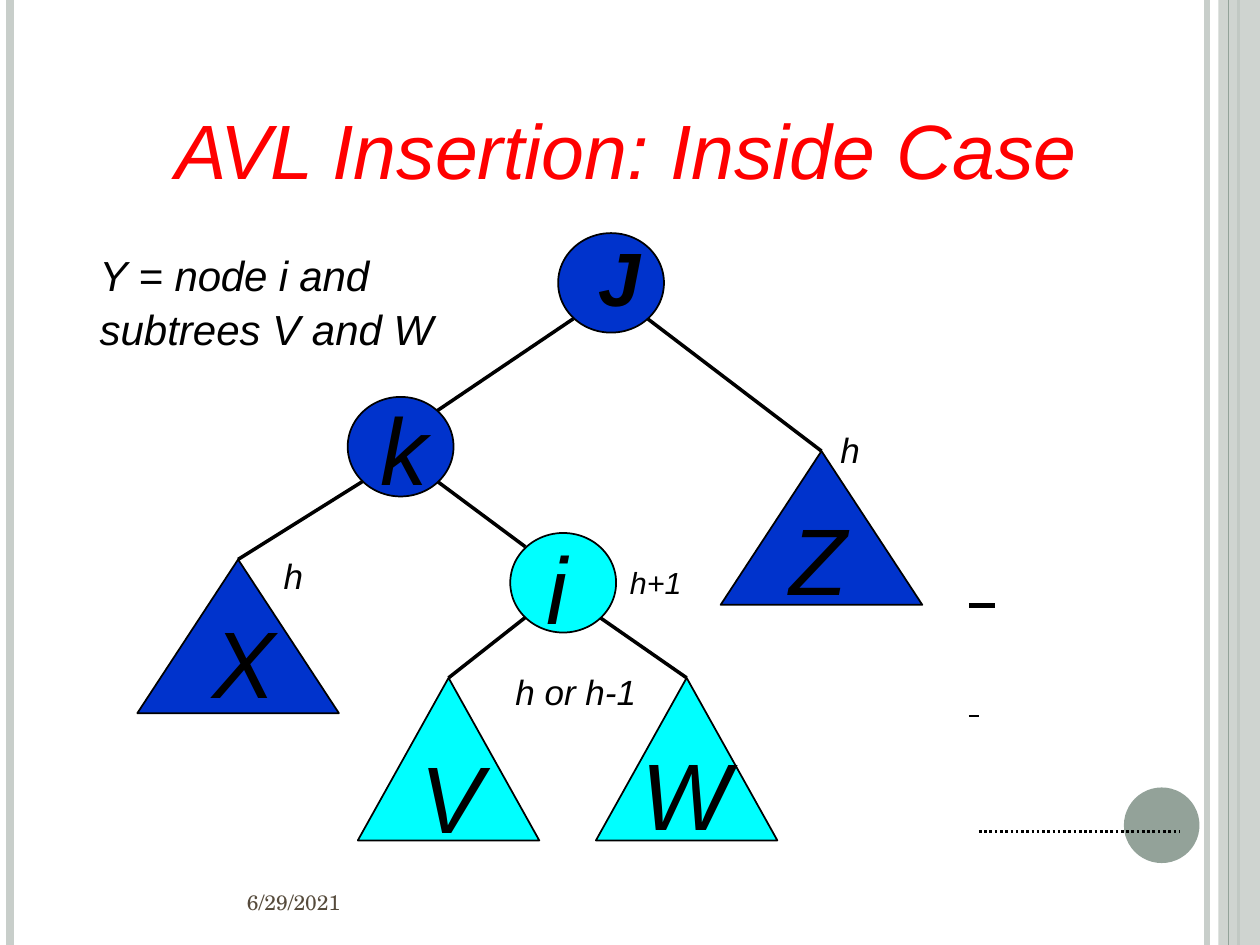
import pptx
import pptx.dml.color
import pptx.enum.dml
import pptx.enum.shapes
import pptx.enum.text
import pptx.oxml.ns
import pptx.util
from lxml import etree

Inches = pptx.util.Inches
Pt = pptx.util.Pt
RGBColor = pptx.dml.color.RGBColor
Shape = pptx.enum.shapes.MSO_SHAPE
Anchor = pptx.enum.text.MSO_ANCHOR
qn = pptx.oxml.ns.qn

BLACK = RGBColor(0x00, 0x00, 0x00)
RED = RGBColor(0xFF, 0x00, 0x00)
BLUE = RGBColor(0x00, 0x33, 0xCC)
CYAN = RGBColor(0x00, 0xFF, 0xFF)
SAGE = RGBColor(0x93, 0xA2, 0x99)
PALE_SAGE = RGBColor(0xC8, 0xCE, 0xCA)
BROWN = RGBColor(0x56, 0x4B, 0x3C)

deck = pptx.Presentation()
deck.slide_width, deck.slide_height = Inches(10), Inches(7.5)
slide = deck.slides.add_slide(deck.slide_layouts[6])


def draw_line(x1, y1, x2, y2, color, width):
    line = slide.shapes.add_connector(
        pptx.enum.shapes.MSO_CONNECTOR.STRAIGHT,
        Inches(x1), Inches(y1), Inches(x2), Inches(y2))
    line.line.color.rgb = color
    line.line.width = Pt(width)
    etree.SubElement(line._element.spPr, qn("a:effectLst"))
    return line


def write_text(left, top, width, height, runs, color=BLACK):
    """Italic Arial text; each run is (text, size, extra run attributes)."""
    box = slide.shapes.add_textbox(
        Inches(left), Inches(top), Inches(width), Inches(height))
    frame = box.text_frame
    frame.word_wrap = True
    frame.margin_left = frame.margin_right = frame.margin_bottom = 0
    frame.margin_top = Inches(0.02)
    paragraph = frame.paragraphs[0]
    paragraph.line_spacing = 1.06
    for text, size, attributes in runs:
        run = paragraph.add_run()
        run.text = text
        run.font.name = "Arial"
        run.font.size = Pt(size)
        run.font.italic = True
        run.font.color.rgb = color
        for key, value in attributes.items():
            run.font._element.set(key, value)
    return frame


# Frame: vertical rules, right band and corner disc
draw_line(9.58, 0, 9.58, 7.5, PALE_SAGE, 3)
draw_line(0.08, 0, 0.08, 7.5, PALE_SAGE, 4.5)
draw_line(9.83, 0, 9.83, 7.5, SAGE, 1.5)
band = slide.shapes.add_shape(
    Shape.RECTANGLE, Inches(9.67), Inches(0), Inches(0.33), Inches(7.5))
band.shadow.inherit = False
band.fill.solid()
band.fill.fore_color.rgb = PALE_SAGE
band_color = band._element.spPr.find(qn("a:solidFill"))[0]
etree.SubElement(band_color, qn("a:alpha"), val="87000")
band.line.fill.background()
draw_line(9.75, 0, 9.75, 7.5, SAGE, 0.75)
disc = slide.shapes.add_shape(
    Shape.OVAL, Inches(8.92), Inches(6.25), Inches(0.6), Inches(0.6))
disc.shadow.inherit = False
disc.fill.solid()
disc.fill.fore_color.rgb = SAGE
disc.line.fill.background()

# Tree edges
for edge in [
    (4.55, 2.53, 3.47, 3.26),
    (5.14, 2.53, 6.52, 3.58),
    (2.88, 3.82, 1.89, 4.44),
    (3.47, 3.82, 4.17, 4.34),
    (4.17, 4.9, 3.56, 5.38),
    (4.76, 4.9, 5.45, 5.38),
]:
    draw_line(*edge, BLACK, 2)

# Nodes (ellipses) and subtrees (triangles), placed by top centre
NODE = (Shape.OVAL, 0.84, 0.79)
SUBTREE = (Shape.ISOSCELES_TRIANGLE, 1.6, 1.22)
LOW_SUBTREE = (Shape.ISOSCELES_TRIANGLE, 1.44, 1.29)
for (outline, width, height), center, top, color in [
    (NODE, 4.85, 1.85, BLUE),
    (NODE, 3.18, 3.15, BLUE),
    (NODE, 4.47, 4.23, CYAN),
    (SUBTREE, 1.89, 4.44, BLUE),
    (SUBTREE, 6.52, 3.58, BLUE),
    (LOW_SUBTREE, 3.56, 5.38, CYAN),
    (LOW_SUBTREE, 5.45, 5.38, CYAN),
]:
    part = slide.shapes.add_shape(
        outline, Inches(center - width / 2), Inches(top), Inches(width), Inches(height))
    part.shadow.inherit = False
    part.fill.solid()
    part.fill.fore_color.rgb = color
    part.line.color.rgb = BLACK
    part.line.width = Pt(1)

# Dotted rule over the disc
dotted = draw_line(7.77, 6.6, 9.36, 6.6, BLACK, 1.5)
dotted.line.dash_style = pptx.enum.dml.MSO_LINE.ROUND_DOT

# Names of nodes and subtrees
root_name = write_text(4.75, 1.65, 0.19, 0.93,
                       [("j", 54, {"b": "1", "cap": "small", "spc": "-10"})])
root_name.vertical_anchor = Anchor.BOTTOM
for name, left, top, width in [
    ("k", 3.02, 3.03, 0.4),
    ("X", 1.69, 4.72, 0.53),
    ("V", 3.34, 5.79, 0.53),
    ("W", 5.09, 5.77, 0.74),
    ("i", 4.34, 4.13, 0.19),
]:
    write_text(left, top, width, 0.93, [(name, 54, {})])

# Heights
for height_label, left, top, width in [
    ("h", 6.67, 3.36, 0.18),
    ("h", 2.25, 4.36, 0.18),
    ("h or h-1", 4.09, 5.28, 0.98),
]:
    write_text(left, top, width, 0.36, [(height_label, 20, {})])

# Height of i, name of Z and the underlined blanks, set on tab stops
row = write_text(5, 3.9, 4.5, 1.75, [
    ("h+1\t", 30, {"baseline": "1000"}),
    ("Z\t", 54, {}),
    (" \t", 54, {"u": "sng"}),
])
blank = row.add_paragraph()
blank.space_before = Pt(34.8)
blank.line_spacing = 1.06
blank._p.get_or_add_pPr().set("marL", str(Inches(2.69)))
blank_run = blank.add_run()
blank_run.text = " \t"
blank_run.font.name = "Arial"
blank_run.font.size = Pt(20)
blank_run.font.italic = True
blank_run.font.underline = True
blank_run.font.color.rgb = BLACK
for paragraph, stops in zip(row.paragraphs, [(1.27, 2.69, 4.48), (4.35,)]):
    tabs = etree.SubElement(paragraph._p.get_or_add_pPr(), qn("a:tabLst"))
    for stop in stops:
        etree.SubElement(tabs, qn("a:tab"), pos=str(Inches(stop)), algn="l")

# Note and title
write_text(0.79, 1.94, 2.75, 0.83, [
    ("Y = ", 24, {}),
    ("node i and ", 24, {"spc": "-10"}),
    ("subtrees V and W", 24, {}),
])
write_text(1.39, 0.75, 7.22, 0.76, [
    ("AVL ", 44, {"spc": "-80"}),
    ("Insertion: Inside Case", 44, {}),
], RED)

# Date
date_box = slide.shapes.add_textbox(Inches(0.5), Inches(6.97), Inches(2.3), Inches(0.38))
date_box.text_frame.word_wrap = True
date_box.text_frame.vertical_anchor = Anchor.MIDDLE
date = date_box.text_frame.paragraphs[0]
date.alignment = pptx.enum.text.PP_ALIGN.RIGHT
date_run = date.add_run()
date_run.text = "6/29/2021"
date_run.font.name = "TeX Gyre Schola"
date_run.font.size = Pt(12)
date_run.font.color.rgb = BROWN

deck.save("out.pptx")
